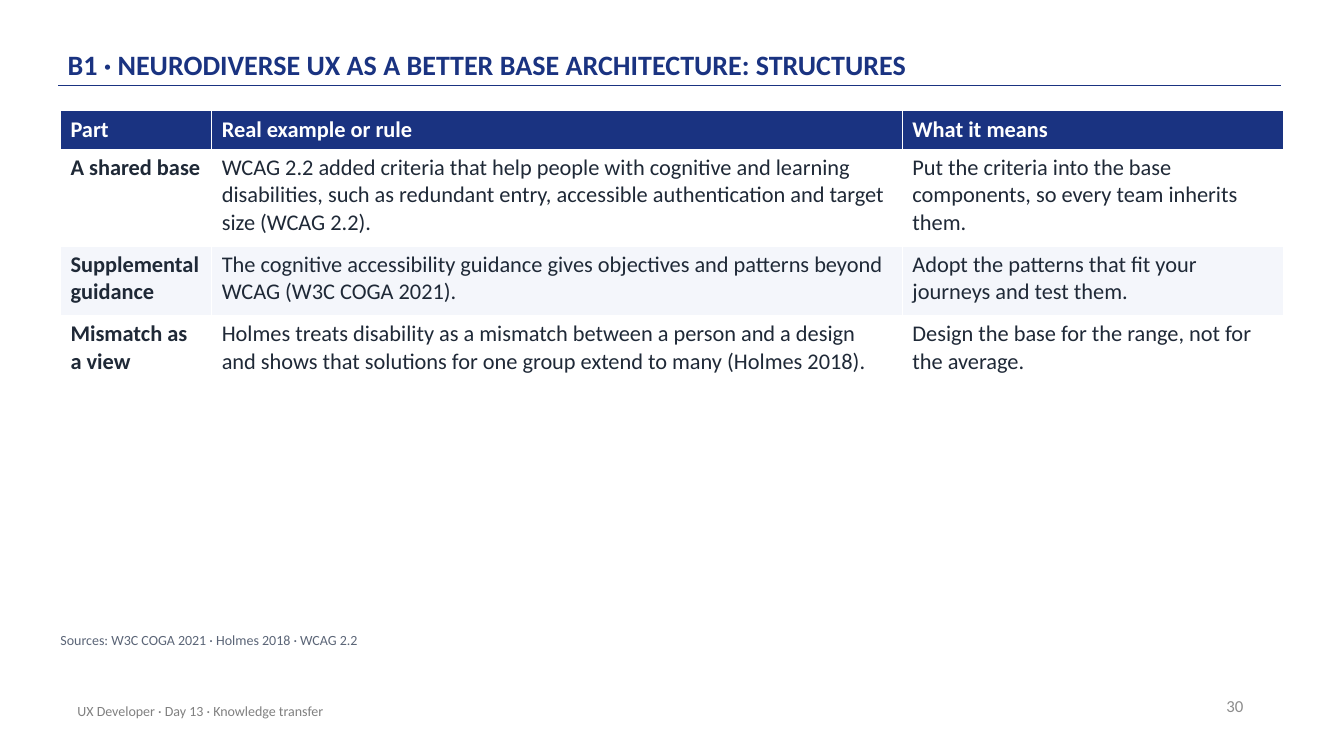
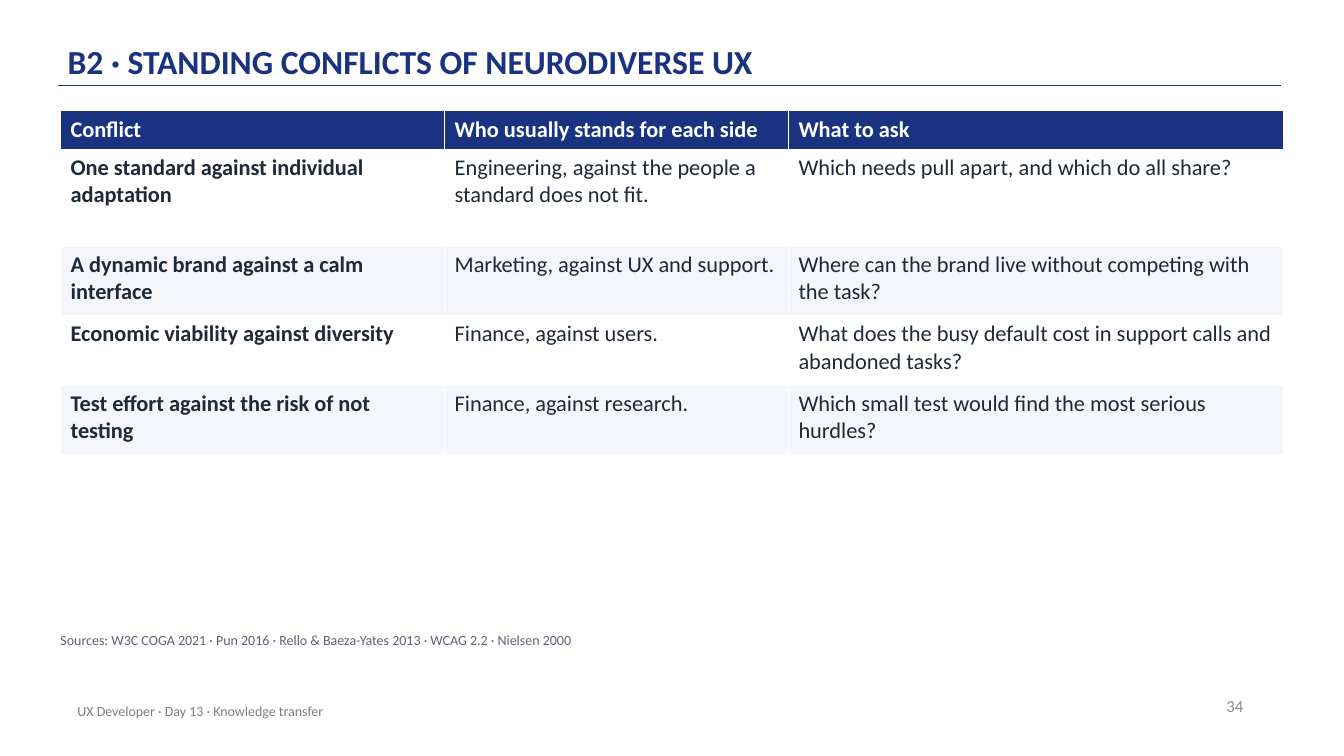
from lxml.etree import SubElement
from pptx import Presentation
from pptx.dml.color import RGBColor
from pptx.enum.shapes import MSO_CONNECTOR
from pptx.enum.text import MSO_ANCHOR, MSO_AUTO_SIZE, PP_ALIGN
from pptx.oxml.ns import qn
from pptx.util import Inches, Pt

NAVY, WHITE, STRIPE = "1A3381", "FFFFFF", "F4F6FB"
INK, SLATE, FOOTER_GREY, NUMBER_GREY = "1F2937", "5B6577", "808080", "8C8C8C"
FONT = "Calibri"
FOOTER = "UX Developer · Day 13 · Knowledge transfer"

SLIDES = [
    {
        "title": "B1 · NEURODIVERSE UX AS A BETTER BASE ARCHITECTURE: STRUCTURES",
        "title_size": 20,
        "number": "30",
        "columns": [1.5, 6.85, 3.78],
        "row_heights": [0.38, 0.96, 0.69, 0.96],
        "rows": [
            ["Part", "Real example or rule", "What it means"],
            ["A shared base",
             "WCAG 2.2 added criteria that help people with cognitive and learning "
             "disabilities, such as redundant entry, accessible authentication and "
             "target size (WCAG 2.2).",
             "Put the criteria into the base components, so every team inherits them."],
            ["Supplemental guidance",
             "The cognitive accessibility guidance gives objectives and patterns "
             "beyond WCAG (W3C COGA 2021).",
             "Adopt the patterns that fit your journeys and test them."],
            ["Mismatch as a view",
             "Holmes treats disability as a mismatch between a person and a design "
             "and shows that solutions for one group extend to many (Holmes 2018).",
             "Design the base for the range, not for the average."],
        ],
        "sources": "Sources: W3C COGA 2021 · Holmes 2018 · WCAG 2.2",
    },
    {
        "title": "B2 · STANDING CONFLICTS OF NEURODIVERSE UX",
        "title_size": 24,
        "number": "34",
        "columns": [3.81, 3.41, 4.91],
        "row_heights": [0.38, 0.96, 0.69, 0.69, 0.69],
        "rows": [
            ["Conflict", "Who usually stands for each side", "What to ask"],
            ["One standard against individual adaptation",
             "Engineering, against the people a standard does not fit.",
             "Which needs pull apart, and which do all share?"],
            ["A dynamic brand against a calm interface",
             "Marketing, against UX and support.",
             "Where can the brand live without competing with the task?"],
            ["Economic viability against diversity",
             "Finance, against users.",
             "What does the busy default cost in support calls and abandoned tasks?"],
            ["Test effort against the risk of not testing",
             "Finance, against research.",
             "Which small test would find the most serious hurdles?"],
        ],
        "sources": "Sources: W3C COGA 2021 · Pun 2016 · Rello & Baeza-Yates 2013 · "
                   "WCAG 2.2 · Nielsen 2000",
    },
]

TITLE_FRAME = {
    "margin_left": 0, "margin_right": 0,
    "margin_top": Inches(0.03), "margin_bottom": Inches(0.03),
    "vertical_anchor": MSO_ANCHOR.BOTTOM,
    "auto_size": MSO_AUTO_SIZE.NONE, "word_wrap": True,
}
FOOTER_FRAME = {"vertical_anchor": MSO_ANCHOR.MIDDLE, "word_wrap": True}
SOURCES_FRAME = {
    "margin_left": 0, "margin_right": 0, "margin_top": 0, "margin_bottom": 0,
    "auto_size": MSO_AUTO_SIZE.SHAPE_TO_FIT_TEXT, "word_wrap": True,
}


def rgb(hex_color):
    return RGBColor.from_string(hex_color)


def write(frame, text, size, color, bold=False, **frame_format):
    """Fill a text frame with one formatted paragraph and return that paragraph."""
    for attribute, value in frame_format.items():
        setattr(frame, attribute, value)
    paragraph = frame.paragraphs[0]
    run = paragraph.add_run()
    run.text = text
    font_format = {"name": FONT, "size": Pt(size), "bold": bold}
    for attribute, value in font_format.items():
        setattr(run.font, attribute, value)
    run.font.color.rgb = rgb(color)
    return paragraph


deck = Presentation()
deck.slide_width, deck.slide_height = Inches(13.33), Inches(7.5)
title_only = deck.slide_layouts[5]

for content in SLIDES:
    slide = deck.slides.add_slide(title_only)
    shapes = slide.shapes

    title = shapes.title
    title.left, title.top = Inches(0.67), Inches(0.12)
    title.width, title.height = Inches(11), Inches(0.72)
    heading = write(title.text_frame, content["title"], content["title_size"],
                    NAVY, bold=True, **TITLE_FRAME)
    heading.alignment = PP_ALIGN.LEFT
    heading.line_spacing = 0.9

    title_rule = shapes.add_connector(MSO_CONNECTOR.STRAIGHT, Inches(0.58),
                                      Inches(0.85), Inches(12.71), Inches(0.85))
    title_rule.line.color.rgb = rgb(NAVY)
    title_rule.line.width = Pt(1)
    SubElement(title_rule._element.spPr, qn("a:effectLst"))

    number = shapes.add_textbox(Inches(9.43), Inches(6.8), Inches(3), Inches(0.4))
    write(number.text_frame, content["number"], 12, NUMBER_GREY,
          **FOOTER_FRAME).alignment = PP_ALIGN.RIGHT

    footer = shapes.add_textbox(Inches(0.67), Inches(6.85), Inches(6.7), Inches(0.4))
    write(footer.text_frame, FOOTER, 10, FOOTER_GREY, **FOOTER_FRAME)

    rows, columns, heights = content["rows"], content["columns"], content["row_heights"]
    table = shapes.add_table(len(rows), len(columns), Inches(0.6), Inches(1.1),
                             Inches(sum(columns)), Inches(sum(heights))).table
    table.horz_banding = False
    for column, width in zip(table.columns, columns):
        column.width = Inches(width)
    for r, (row, height) in enumerate(zip(rows, heights)):
        table.rows[r].height = Inches(height)
        is_header = r == 0
        row_fill = NAVY if is_header else (WHITE if r % 2 else STRIPE)
        for c, text in enumerate(row):
            cell = table.cell(r, c)
            cell.fill.solid()
            cell.fill.fore_color.rgb = rgb(row_fill)
            write(cell.text_frame, text, 16, WHITE if is_header else INK,
                  bold=is_header or c == 0)

    sources = shapes.add_textbox(Inches(0.6), Inches(6.27), Inches(12.1), Inches(0.3))
    write(sources.text_frame, content["sources"], 10, SLATE,
          **SOURCES_FRAME).space_after = Pt(6)

deck.save("out.pptx")
